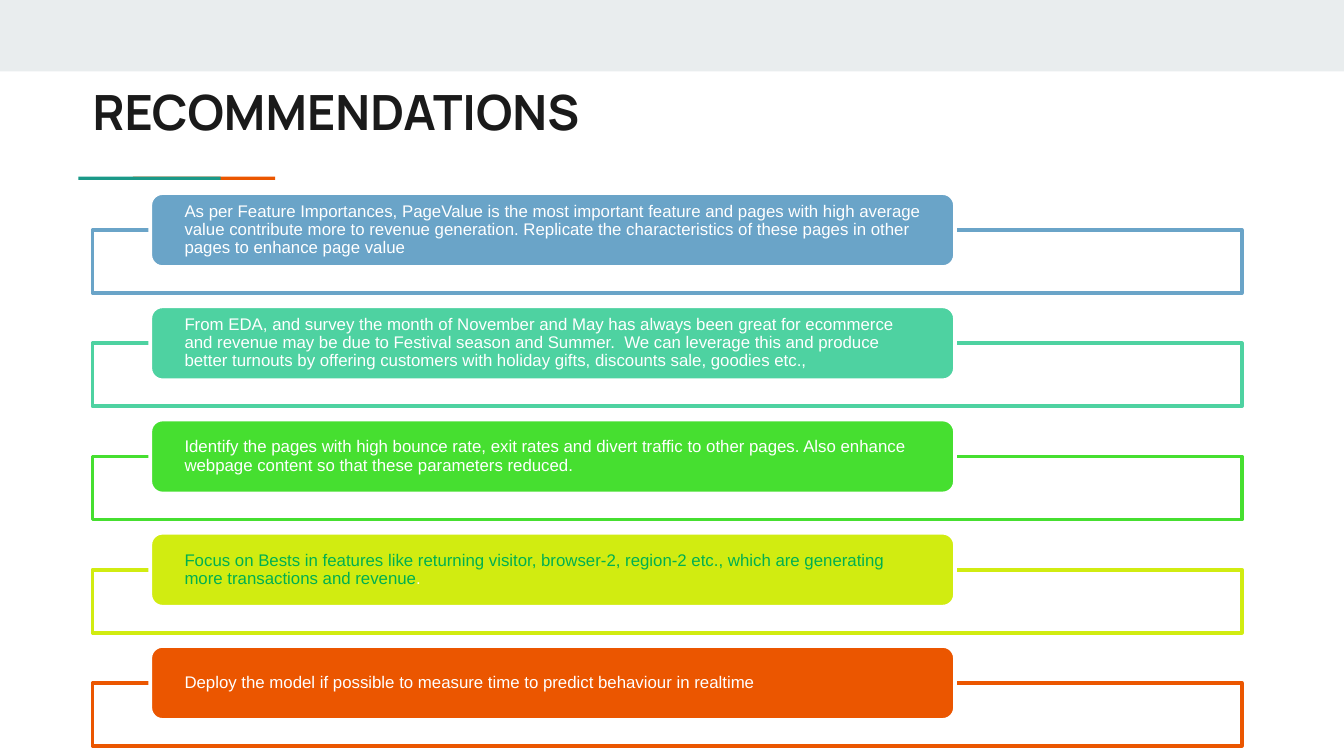
from pptx import Presentation
from pptx.dml.color import RGBColor
from pptx.enum.shapes import MSO_SHAPE
from pptx.enum.text import MSO_ANCHOR, MSO_AUTO_SIZE, PP_ALIGN
from pptx.util import Cm, Pt

COLOURS = {
    "band": "E9EDEE", "ink": "1A1A1A", "white": "FFFFFF", "teal": "1A9988",
    "blue": "6AA4C8", "mint": "4ED2A1", "green": "46DF30", "lime": "D1EC11",
    "orange": "EB5600", "leaf": "00B050",
}

TITLE = "RECOMMENDATIONS"

# Card colour, then the spans of its text with their colours
RECOMMENDATIONS = [
    ("blue", [("As per Feature Importances, PageValue is the most important feature and "
               "pages with high average value contribute more to revenue generation. "
               "Replicate the characteristics of these pages in other pages to enhance "
               "page value", "white")]),
    ("mint", [("From EDA, and survey the month of November and May has always been great "
               "for ecommerce and revenue may be due to Festival season and Summer.  We can "
               "leverage this and produce better turnouts by offering customers with "
               "holiday gifts, discounts sale, goodies etc.,", "white")]),
    ("green", [("Identify the pages with high bounce rate, exit rates and divert traffic "
                "to other pages. Also enhance webpage content so that these parameters "
                "reduced.", "white")]),
    ("lime", [("Focus on Bests in features like returning visitor, browser-2, region-2 "
               "etc., which are generating more transactions and revenue", "leaf"),
              (".", "white")]),
    ("orange", [("Deploy the model if possible to measure time to predict behaviour in "
                 "realtime", "white")]),
]

# Left, top, width, height in cm
BAND = (0, 0, 25.4, 1.35)
TITLE_BOX = (1.5, 1.3, 21.36, 1.5)
RULES = [("orange", (2.51, 3.34, 2.69, 0.06)), ("teal", (1.48, 3.34, 2.69, 0.06))]
FRAME = (1.75, 4.35, 21.72, 1.19)
CARD = (2.84, 3.65, 15.21, 1.4)
ROW_PITCH = 2.14

TITLE_FORMAT = {"name": "Manrope", "size": Pt(26), "bold": True}
CARD_FORMAT = {"name": "Arial", "size": Pt(9)}
TITLE_FRAME = {
    "margin_left": Cm(0.25), "margin_right": Cm(0.25),
    "margin_top": Cm(0.25), "margin_bottom": Cm(0.25),
    "vertical_anchor": MSO_ANCHOR.TOP, "word_wrap": True,
    "auto_size": MSO_AUTO_SIZE.NONE,
}
CARD_FRAME = {
    "margin_left": Cm(0.58), "margin_right": Cm(0.58),
    "margin_top": 0, "margin_bottom": 0,
    "vertical_anchor": MSO_ANCHOR.MIDDLE, "word_wrap": True,
}


def colour(name):
    return RGBColor.from_string(COLOURS[name])


def set_all(target, values):
    for name, value in values.items():
        setattr(target, name, value)


def add_block(page, kind, place, fill, line=None, drop=0):
    """Add a filled shape, moved down by drop cm, with an optional 2 pt line."""
    left, top, width, height = place
    block = page.shapes.add_shape(kind, Cm(left), Cm(top + drop), Cm(width), Cm(height))
    block.shadow.inherit = False
    block.fill.solid()
    block.fill.fore_color.rgb = colour(fill)
    if line:
        block.line.color.rgb = colour(line)
        block.line.width = Pt(2)
    else:
        block.line.fill.background()
    return block


def write(para, spans, text_format):
    para.alignment = PP_ALIGN.LEFT
    for text, ink in spans:
        span = para.add_run()
        span.text = text
        set_all(span.font, text_format)
        span.font.color.rgb = colour(ink)


def add_title(page):
    title = page.shapes.title
    title.left, title.top, title.width, title.height = map(Cm, TITLE_BOX)
    set_all(title.text_frame, TITLE_FRAME)
    write(title.text_frame.paragraphs[0], [(TITLE, "ink")], TITLE_FORMAT)


def add_recommendation(page, row, accent, spans):
    drop = row * ROW_PITCH
    add_block(page, MSO_SHAPE.RECTANGLE, FRAME, "white", accent, drop)
    card = add_block(page, MSO_SHAPE.ROUNDED_RECTANGLE, CARD, accent, "white", drop)
    set_all(card.text_frame, CARD_FRAME)
    para = card.text_frame.paragraphs[0]
    para.line_spacing = 0.9
    write(para, spans, CARD_FORMAT)


def main():
    deck = Presentation()
    deck.slide_width, deck.slide_height = Cm(25.4), Cm(14.29)
    page = deck.slides.add_slide(deck.slide_layouts[5])
    add_block(page, MSO_SHAPE.RECTANGLE, BAND, "band")
    for accent, place in RULES:
        add_block(page, MSO_SHAPE.RECTANGLE, place, accent)
    add_title(page)
    for row, (accent, spans) in enumerate(RECOMMENDATIONS):
        add_recommendation(page, row, accent, spans)
    deck.save("out.pptx")


if __name__ == "__main__":
    main()
